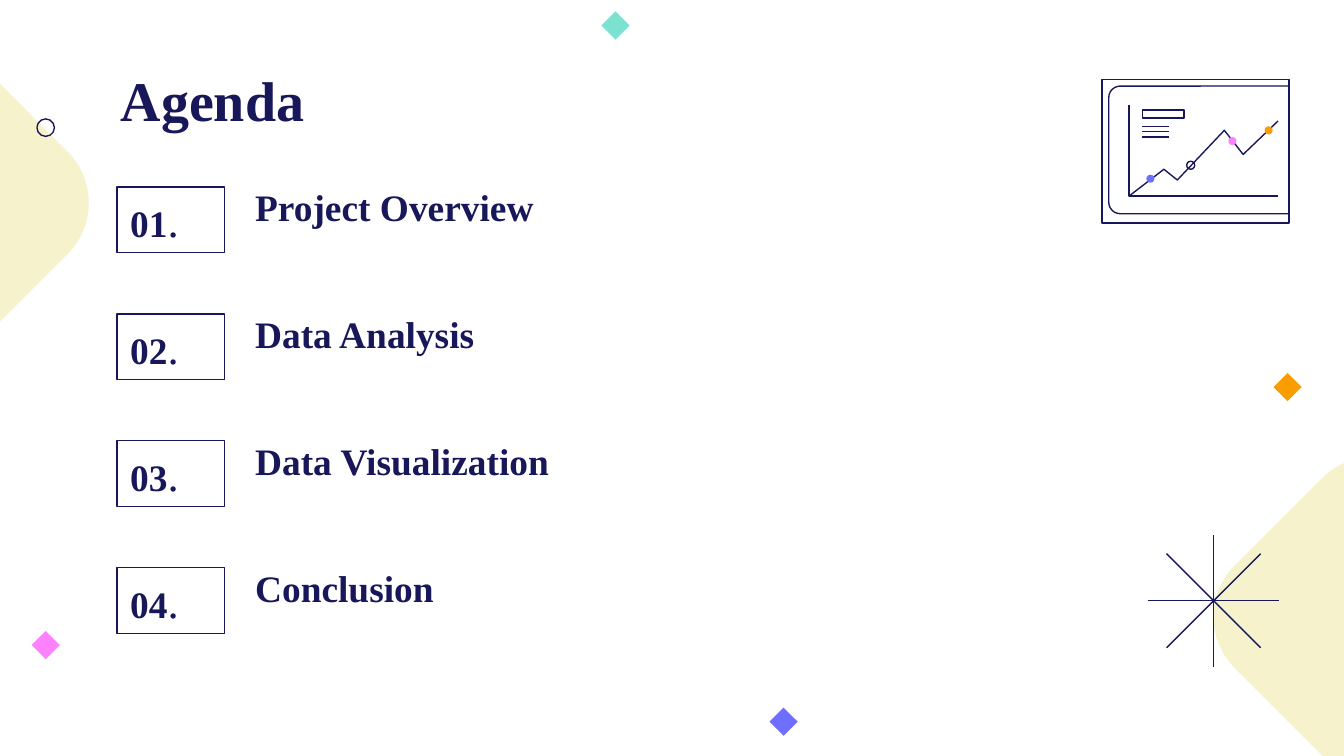
from pptx import Presentation
from pptx import util as u
from pptx.dml.color import RGBColor
from pptx.enum import shapes, text
from pptx.oxml.ns import qn

FONT = "Times New Roman"
COLORS = {"navy": "17175A", "cream": "F6F2CC", "pink": "FC81FD",
          "violet": "6E6FFF", "orange": "FA9D02", "teal": "7CE1CF"}
W = 10
H = W * 9 / 16

# Content
TITLE = "Agenda"
AGENDA = ["Project Overview", "Data Analysis", "Data Visualization", "Conclusion"]

# Agenda grid
NUMBER_X, NUMBER_Y, NUMBER_W = 0.87, 1.39, 0.8
TOPIC_X, TOPIC_Y, TOPIC_W = 1.8, 1.31, 6.8
ROW_H, ROW_STEP = 0.49, 0.945

# Decoration: centres
BLOBS = [(-0.53, 1.51), (10.22, 4.59)]
DIAMONDS = [(0.34, 4.8, "pink"), (5.83, 5.37, "violet"),
            (9.58, 2.88, "orange"), (4.58, 0.19, "teal")]
STAR = (9.03, 4.47)
STAR_RAYS = [(0, 0.49), (0.49, 0), (0.35, -0.35), (0.35, 0.35)]

# Chart icon
AXES = [(8.4, 0.78), (8.4, 1.46), (9.51, 1.46)]
TREND = [(8.4, 1.46), (8.66, 1.26), (8.76, 1.34), (9.11, 0.97), (9.25, 1.15), (9.51, 0.9)]
MARKERS = [(8.56, 1.33, "violet"), (9.17, 1.05, "pink"),
           (9.44, 0.97, "orange"), (8.86, 1.23, None)]
LEGEND_X, LEGEND_Y, LEGEND_STEP = 8.5, 0.94, 0.04

prs = Presentation()
prs.slide_width, prs.slide_height = u.Inches(W), u.Inches(H)
s = prs.slides.add_slide(prs.slide_layouts[6])
SHAPE = shapes.MSO_SHAPE


def rgb(name):
    return RGBColor.from_string(COLORS[name])


def style(sp, fill=None):
    """Solid fill without outline, or a thin navy outline without fill."""
    sp.shadow.inherit = False
    if fill:
        sp.fill.solid()
        sp.fill.fore_color.rgb = rgb(fill)
        sp.line.fill.background()
    else:
        sp.fill.background()
        sp.line.color.rgb = rgb("navy")
        sp.line.width = u.Pt(0.75)
    return sp


def add_shape(kind, x, y, w, h, fill=None):
    return style(s.shapes.add_shape(kind, *map(u.Inches, (x, y, w, h))), fill)


def add_centred(kind, cx, cy, w, h, fill=None):
    return add_shape(kind, cx - w / 2, cy - h / 2, w, h, fill)


def add_line(x1, y1, x2, y2):
    line = s.shapes.add_connector(shapes.MSO_CONNECTOR.STRAIGHT,
                                  *map(u.Inches, (x1, y1, x2, y2)))
    line.line.color.rgb = rgb("navy")
    line.line.width = u.Pt(0.75)
    sp_pr = line._element.spPr
    sp_pr.append(sp_pr.makeelement(qn("a:effectLst"), {}))


def add_polyline(points):
    points = [(u.Inches(x), u.Inches(y)) for x, y in points]
    builder = s.shapes.build_freeform(*points[0])
    builder.add_line_segments(points[1:], close=False)
    style(builder.convert_to_shape())


def add_textbox(x, y, w, h):
    return s.shapes.add_textbox(*map(u.Inches, (x, y, w, h)))


def write(sp, runs, anchor, spacing=1.0):
    """Fill a shape with one paragraph of (text, size, bold) runs."""
    tf = sp.text_frame
    tf.word_wrap = True
    tf.vertical_anchor = anchor
    tf.margin_left = tf.margin_right = u.Inches(0.1)
    tf.margin_top = tf.margin_bottom = u.Inches(0.1)
    p = tf.paragraphs[0]
    p.alignment = text.PP_ALIGN.LEFT
    p.line_spacing = spacing
    p.font.name = FONT
    p.font.color.rgb = rgb("navy")
    for words, size, bold in runs:
        r = p.add_run()
        r.text = words
        r.font.size, r.font.bold = u.Pt(size), bold


# Background blobs
for cx, cy in BLOBS:
    blob = add_centred(SHAPE.ROUNDED_RECTANGLE, cx, cy, 2, 2, "cream")
    blob.adjustments[0] = 0.27
    blob.rotation = 45

# Star, diamonds and ring
for dx, dy in STAR_RAYS:
    add_line(STAR[0] - dx, STAR[1] - dy, STAR[0] + dx, STAR[1] + dy)
for cx, cy, color in DIAMONDS:
    add_centred(SHAPE.DIAMOND, cx, cy, 0.21, 0.21, color)
add_centred(SHAPE.OVAL, 0.34, 0.95, 0.13, 0.13)

# Title and agenda rows
write(add_textbox(0.8, 0.39, 8.43, 0.63), [(TITLE, 30, True)], text.MSO_ANCHOR.TOP)
for i, topic in enumerate(AGENDA):
    dy = i * ROW_STEP
    number = add_shape(SHAPE.RECTANGLE, NUMBER_X, NUMBER_Y + dy, NUMBER_W, ROW_H)
    write(number, [(f"{i + 1:02}", 20, True), (".", 24, False)], text.MSO_ANCHOR.MIDDLE)
    write(add_textbox(TOPIC_X, TOPIC_Y + dy, TOPIC_W, ROW_H), [(topic, 20, True)],
          text.MSO_ANCHOR.BOTTOM, 1.15)

# Chart icon: frame, screen, axes, trend, markers, legend
add_shape(SHAPE.RECTANGLE, 8.2, 0.59, 1.39, 1.07)
screen = add_centred(SHAPE.ROUND_2_SAME_RECTANGLE, 8.92, 1.115, 0.95, 1.34)
screen.adjustments[0] = 0.09
screen.rotation = 270
add_polyline(AXES)
add_polyline(TREND)
for cx, cy, color in MARKERS:
    add_centred(SHAPE.OVAL, cx, cy, 0.06, 0.06, color)
add_shape(SHAPE.RECTANGLE, LEGEND_X, 0.82, 0.31, 0.06)
for i in range(3):
    y = LEGEND_Y + i * LEGEND_STEP
    add_line(LEGEND_X, y, LEGEND_X + 0.2, y)

prs.save("out.pptx")
